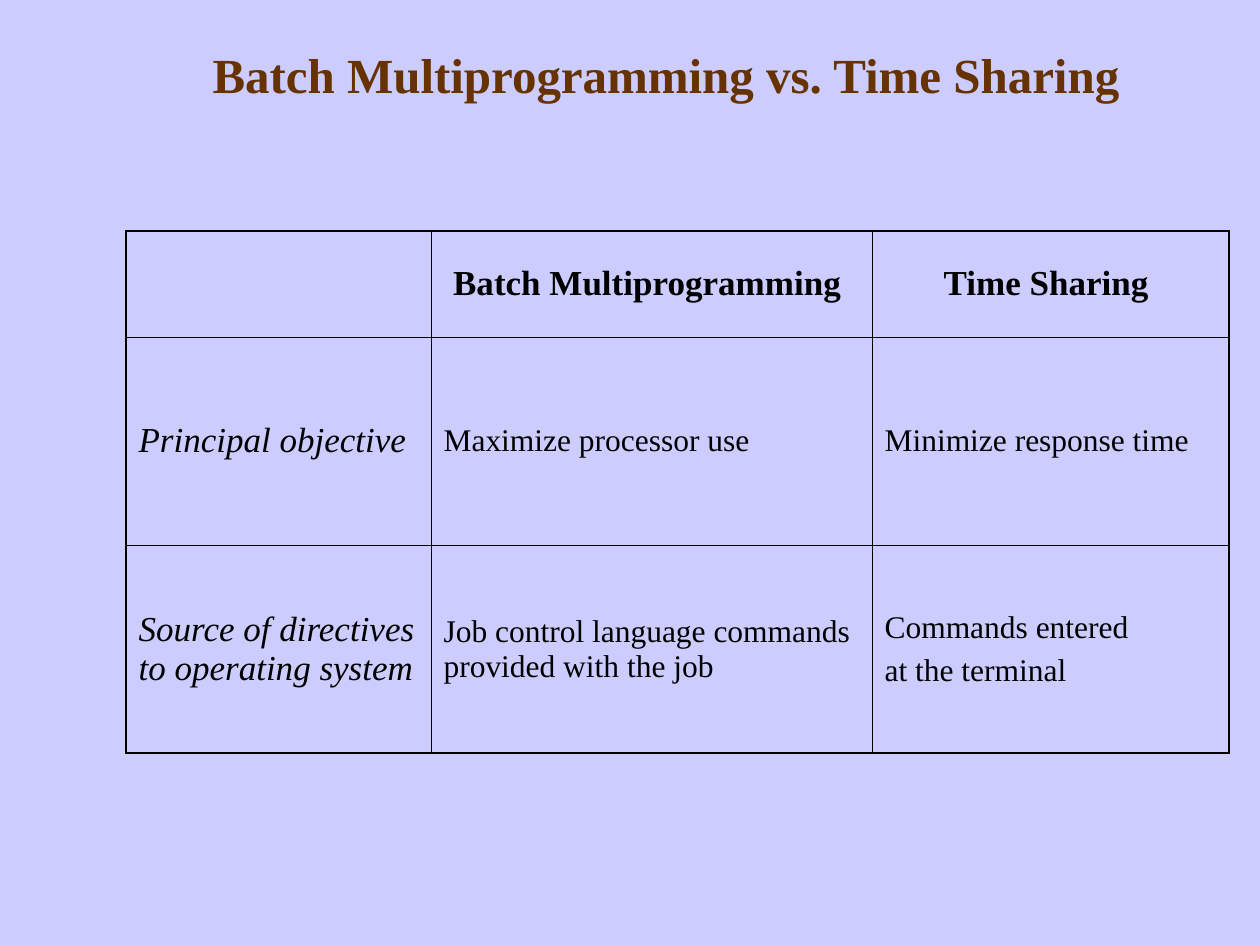
from dataclasses import dataclass

from lxml.etree import SubElement
from pptx import Presentation
from pptx.dml.color import RGBColor
from pptx.enum.text import MSO_ANCHOR, PP_ALIGN
from pptx.oxml.ns import qn
from pptx.util import Emu, Pt

PX = 914400 / 126
COLORS = {"page": "CCCCFF", "title": "663300", "ink": "000000"}
FONT = "Times New Roman"
THICK, THIN = 1.08, 0.45
COLUMNS = (305, 441, 357)
ROWS = (106, 208, 208)


@dataclass(frozen=True)
class Style:
    font: dict
    color: str = "ink"
    align: PP_ALIGN = PP_ALIGN.LEFT
    space: float = 4.5


@dataclass(frozen=True)
class Entry:
    text: str
    style: Style


TITLE = Style({"size": Pt(28), "bold": True}, "title", PP_ALIGN.CENTER)
HEAD = Style({"size": Pt(20), "bold": True}, align=PP_ALIGN.CENTER)
LABEL = Style({"size": Pt(20), "bold": False, "italic": True})
BODY = Style({"size": Pt(18), "bold": False})

GRID = (
    (
        Entry("", HEAD),
        Entry("Batch Multiprogramming ", HEAD),
        Entry("Time Sharing ", HEAD),
    ),
    (
        Entry("Principal objective", LABEL),
        Entry("Maximize processor use", BODY),
        Entry("Minimize response time", BODY),
    ),
    (
        Entry("Source of directives to operating system", LABEL),
        Entry("Job control language commands provided with the job", BODY),
        Entry("Commands entered\nat the terminal", BODY),
    ),
)


def px(length: int) -> Emu:
    return Emu(round(length * PX))


def rgb(name: str) -> RGBColor:
    return RGBColor.from_string(COLORS[name])


def write(frame, entry: Entry) -> None:
    for index, line in enumerate(entry.text.split("\n")):
        para = frame.add_paragraph() if index else frame.paragraphs[0]
        para.alignment = entry.style.align
        if index:
            para.space_before = Pt(entry.style.space)
        if not line:
            continue
        span = para.add_run()
        span.text = line
        for name, value in {"name": FONT, **entry.style.font}.items():
            setattr(span.font, name, value)
        span.font.color.rgb = rgb(entry.style.color)


def add_border(cell, side: str, width: float) -> None:
    line = SubElement(cell._tc.get_or_add_tcPr(), qn(f"a:ln{side}"), w=str(Pt(width)))
    fill = SubElement(line, qn("a:solidFill"))
    SubElement(fill, qn("a:srgbClr"), val=COLORS["ink"])


def add_title(page, text: str) -> None:
    box = page.shapes.add_textbox(px(126), px(32), px(1092), px(84))
    box.text_frame.word_wrap = True
    box.text_frame.vertical_anchor = MSO_ANCHOR.MIDDLE
    write(box.text_frame, Entry(text, TITLE))


def add_grid(page, left: int, top: int) -> None:
    table = page.shapes.add_table(
        len(ROWS), len(COLUMNS), px(left), px(top), px(sum(COLUMNS)), px(sum(ROWS))
    ).table
    table.first_row = table.horz_banding = False
    for column, width in zip(table.columns, COLUMNS):
        column.width = px(width)
    for row, height in zip(table.rows, ROWS):
        row.height = px(height)
    for r, entries in enumerate(GRID):
        for c, entry in enumerate(entries):
            cell = table.cell(r, c)
            cell.vertical_anchor = MSO_ANCHOR.MIDDLE
            outer = {
                "L": c == 0,
                "R": c == len(COLUMNS) - 1,
                "T": r == 0,
                "B": r == len(ROWS) - 1,
            }
            for side, is_outer in outer.items():
                add_border(cell, side, THICK if is_outer else THIN)
            cell.fill.background()
            write(cell.text_frame, entry)


def main() -> None:
    deck = Presentation()
    deck.slide_width, deck.slide_height = px(1260), px(945)
    page = deck.slides.add_slide(deck.slide_layouts[6])
    page.background.fill.solid()
    page.background.fill.fore_color.rgb = rgb("page")
    add_title(page, "Batch Multiprogramming vs. Time Sharing ")
    add_grid(page, 126, 231)
    deck.save("out.pptx")


if __name__ == "__main__":
    main()
